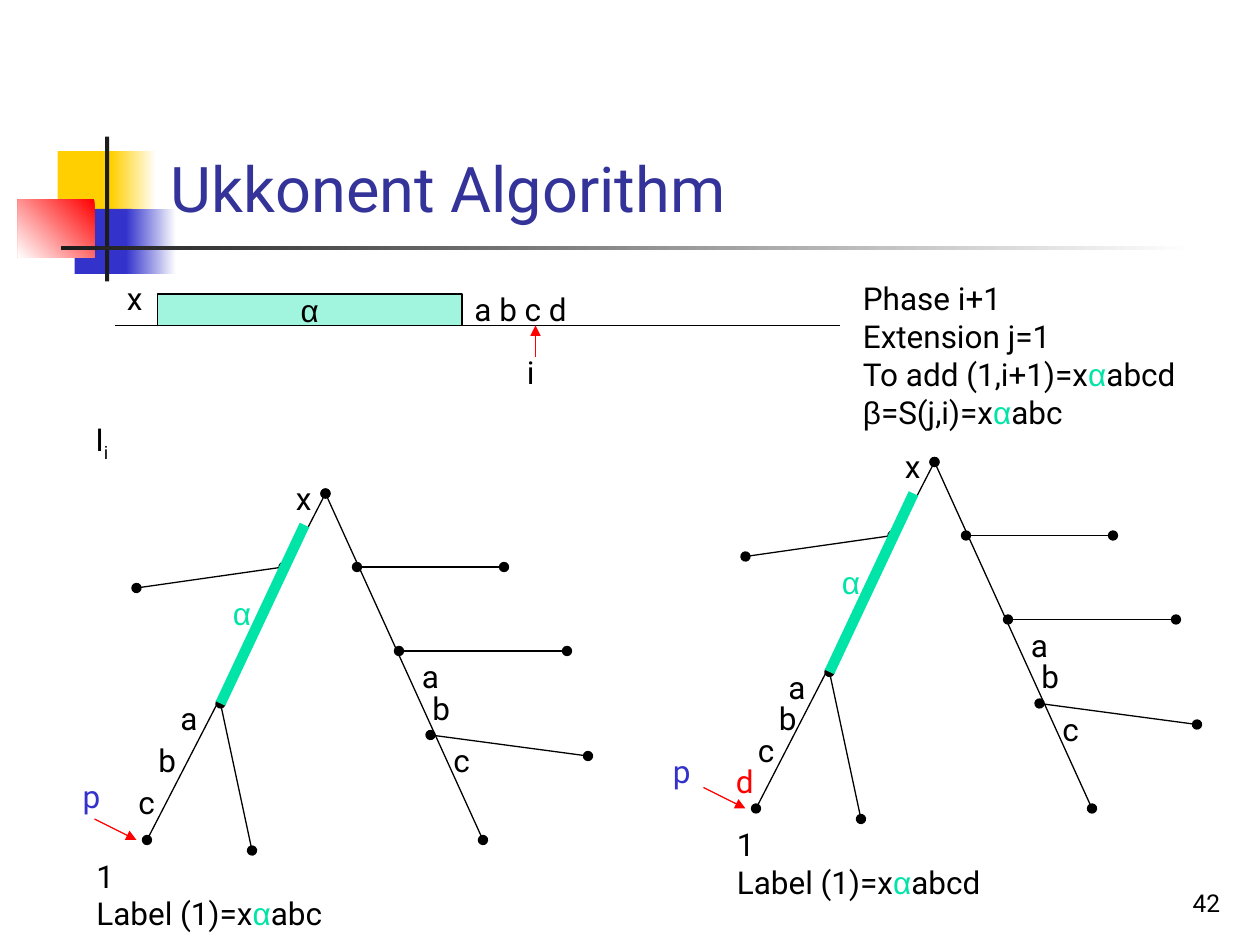
from itertools import groupby

from lxml.etree import SubElement
from pptx import Presentation
from pptx.dml.color import RGBColor
from pptx.enum.shapes import MSO_CONNECTOR, MSO_SHAPE
from pptx.enum.text import MSO_ANCHOR, PP_ALIGN
from pptx.oxml.ns import qn
from pptx.util import Emu, Pt

PX = 7620  # 120 px to the inch
COLORS = {name: RGBColor.from_string(code) for name, code in {
    "black": "000000", "white": "FFFFFF", "dark": "1C1C1C", "yellow": "FFCF01",
    "blue": "3333CC", "title": "333399", "red": "FF0000", "teal": "00E4A8",
}.items()}

deck = Presentation()
deck.slide_width, deck.slide_height = Emu(1200 * PX), Emu(900 * PX)
page = deck.slides.add_slide(deck.slide_layouts[6])


def write(text, x=0, y=0, width=50, height=48, shape=None, size=18, color="black",
          alpha="teal", align=PP_ALIGN.LEFT, anchor=MSO_ANCHOR.TOP, subscript=""):
    """Write into the shape, or a new box; Greek letters get Arial and α its own colour."""
    box = shape or page.shapes.add_textbox(x * PX, y * PX, width * PX, height * PX)
    frame = box.text_frame
    frame.word_wrap = True
    frame.vertical_anchor = anchor
    for index, line in enumerate(text.split("\n")):
        paragraph = frame.paragraphs[0] if index == 0 else frame.add_paragraph()
        paragraph.alignment = align
        pieces = [("".join(letters), greek) for greek, letters
                  in groupby(line, lambda letter: letter if letter in "αβ" else "")]
        if subscript:
            pieces.append((subscript, "subscript"))
        for piece, kind in pieces:
            span = paragraph.add_run()
            span.text = piece
            span.font.size = Pt(size)
            span.font.name = "Arial" if kind in ("α", "β") else "Roboto"
            span.font.color.rgb = COLORS[alpha if kind == "α" else color]
            if kind == "subscript":
                span.font._element.set("baseline", "-25000")


def connect(x1, y1, x2, y2, color="black", weight=0.75, head=None, tail=None):
    line = page.shapes.add_connector(
        MSO_CONNECTOR.STRAIGHT, x1 * PX, y1 * PX, x2 * PX, y2 * PX)
    line.line.color.rgb = COLORS[color]
    line.line.width = Pt(weight)
    outline = line.line._get_or_add_ln()
    for tag, kind in (("a:headEnd", head), ("a:tailEnd", tail)):
        if kind:
            SubElement(outline, qn(tag), type=kind)
    SubElement(line._element.spPr, qn("a:effectLst"))


# Corner ornament and title rule: place, colours from first to last, angle
for place, fills, angle in [
    ((55, 144, 58, 62), ["yellow"], 0),
    ((106, 144, 43, 62), ["white", "yellow"], 180),
    ((71, 199, 55, 62), ["blue"], 0),
    ((120, 199, 48, 62), ["white", "blue"], 180),
    ((17, 190, 73, 55), ["red", "white"], 225),
    ((100, 130, 4, 138), ["dark"], 0),
    ((58, 234, 1080, 4), ["white", "dark"], 180),
]:
    block = page.shapes.add_shape(MSO_SHAPE.RECTANGLE, *(side * PX for side in place))
    block.shadow.inherit = False
    block.line.fill.background()
    if len(fills) == 1:
        block.fill.solid()
        block.fill.fore_color.rgb = COLORS[fills[0]]
    else:
        block.fill.gradient()
        block.fill.gradient_angle = angle
        for stop, name in zip(block.fill.gradient_stops, fills):
            stop.color.rgb = COLORS[name]

write("Ukkonent Algorithm", 151, 28, 1022, 192, size=36, color="title",
      anchor=MSO_ANCHOR.BOTTOM)

# The string with its prefix bar
connect(110, 310, 800, 310)
bar = page.shapes.add_shape(MSO_SHAPE.RECTANGLE, 150 * PX, 280 * PX, 290 * PX, 30 * PX)
bar.shadow.inherit = False
bar.fill.solid()
bar.fill.fore_color.rgb = COLORS["teal"]
SubElement(bar._element.spPr.find(qn("a:solidFill"))[0], qn("a:alpha"), val="37000")
bar.line.color.rgb = COLORS["black"]
bar.line.width = Pt(0.75)
write("α", shape=bar, alpha="black", align=PP_ALIGN.CENTER, anchor=MSO_ANCHOR.MIDDLE)
write("x", 109, 260)
write("a b c d", 440, 270, 150)
write("i", 490, 330)
connect(510, 340, 510, 310, color="red", tail="triangle")
write("I", 79, 394, subscript="i")
write("Phase i+1\nExtension j=1\nTo add (1,i+1)=xαabcd\nβ=S(j,i)=xαabc",
      810, 260, 340, 192)

# Both trees share their edges and right-hand labels, measured from the root
EDGES = [
    (0, 0, -170, 330), (-40, 70, -180, 90), (0, 0, 150, 330), (30, 70, 170, 70),
    (100, 230, 250, 250), (70, 150, 230, 150), (-100, 200, -70, 340),
]
SHARED_LABELS = [("x", -40, -20), ("a", 80, 150), ("b", 90, 180), ("c", 110, 230)]
TREES = [
    (310, 470, [("a", 160, 660), ("b", 139, 700), ("c", 120, 740)],
     (67, 734), ("1\nLabel (1)=xαabc", 80, 810)),
    (890, 440, [("a", 739, 630), ("b", 730, 660), ("c", 710, 690)],
     (629, 710), ("1\nLabel (1)=xαabcd", 690, 780)),
]
for root_x, root_y, path_labels, pointer, (caption, caption_x, caption_y) in TREES:
    for x1, y1, x2, y2 in EDGES:
        connect(root_x + x1, root_y + y1, root_x + x2, root_y + y2,
                head="oval", tail="oval")
    connect(root_x - 20, root_y + 30, root_x - 100, root_y + 200, color="teal", weight=6)
    connect(root_x - 220, root_y + 310, root_x - 180, root_y + 330,
            color="red", tail="triangle")
    for letter, x, y in SHARED_LABELS:
        write(letter, root_x + x, root_y + y)
    for letter, x, y in path_labels:
        write(letter, x, y)
    write("α", root_x - 100, root_y + 90)
    write("p", *pointer, color="blue")
    write(caption, caption_x, caption_y, 350, 84)
write("d", 689, 720, color="red")

write("42", 924, 820, 250, 60, size=14, align=PP_ALIGN.RIGHT, anchor=MSO_ANCHOR.BOTTOM)

deck.save("out.pptx")
